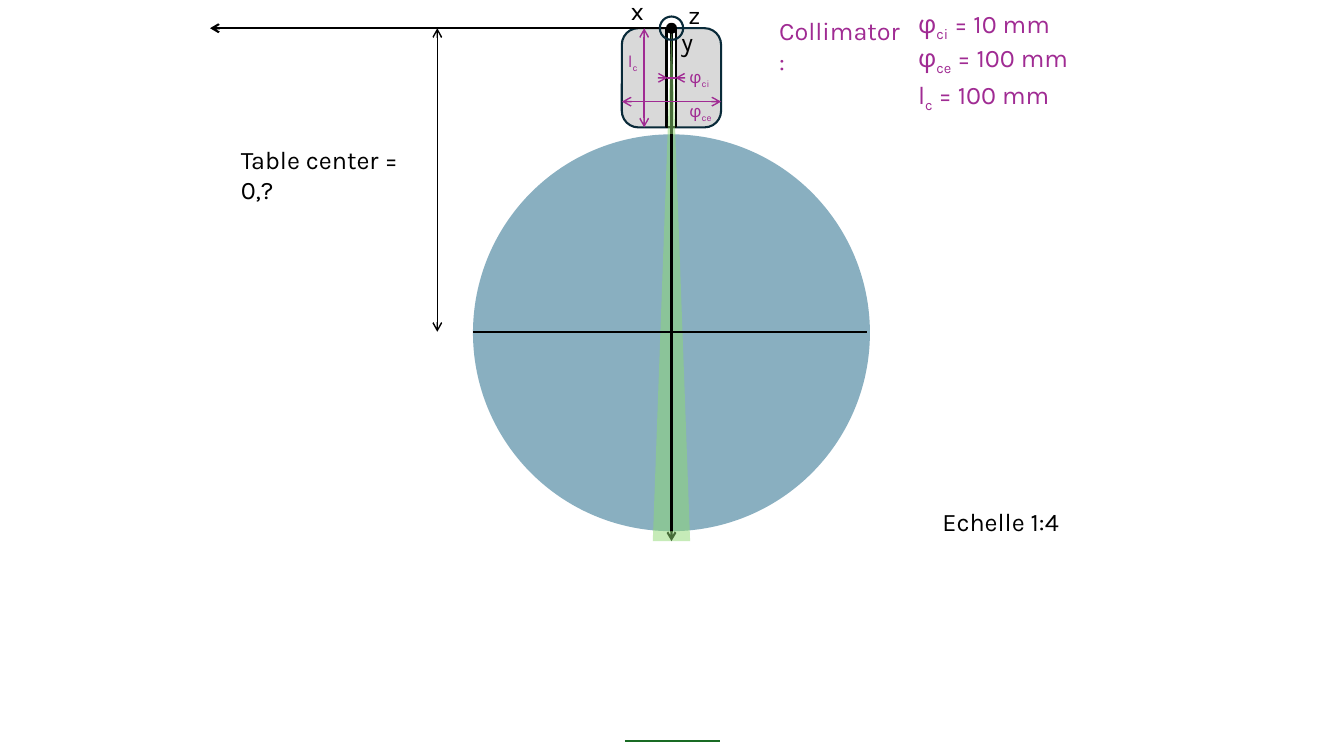
from lxml import etree
from pptx import Presentation
from pptx.dml.color import RGBColor
from pptx.enum.shapes import MSO_CONNECTOR, MSO_SHAPE
from pptx.enum.text import MSO_AUTO_SIZE, PP_ALIGN
from pptx.oxml.ns import qn
from pptx.util import Inches, Pt

STRAIGHT = MSO_CONNECTOR.STRAIGHT
OVAL = MSO_SHAPE.OVAL
RECTANGLE = MSO_SHAPE.RECTANGLE
ROUNDED = MSO_SHAPE.ROUNDED_RECTANGLE
TRIANGLE = MSO_SHAPE.ISOSCELES_TRIANGLE
FIT_SHAPE = MSO_AUTO_SIZE.SHAPE_TO_FIT_TEXT
LEFT = PP_ALIGN.LEFT
TOP, SIDE_LEFT, SIDE_RIGHT = 0, 1, 3

SCALE = 4
GRID = Inches(1) / 25.4 / SCALE
ORIGIN_X, ORIGIN_Y = Inches(6.66), Inches(0.28)

COLLIMATOR = 100
BORE = 10
TABLE = 400
TABLE_TOP = 107
TABLE_CENTER = 306
BEAM_LENGTH, BEAM_WIDTH = 517, 37.6

BLACK, WHITE, NAVY, PURPLE = "000000", "FFFFFF", "092A39", "A02B93"
GRAY, BLUE, LIGHT_GREEN, GREEN = "D9D9D9", "156082", "8ED973", "196B24"


def color(value):
    return RGBColor.from_string(value)


def column(x):
    return round(ORIGIN_X + x * GRID)


def row(y):
    return round(ORIGIN_Y + y * GRID)


def span(length):
    return round(length * GRID)


def add_centered(slide, kind, top, width, height, fill=None, outline=None, alpha=None):
    shape = slide.shapes.add_shape(
        kind, column(-width / 2), row(top), span(width), span(height))
    shape.shadow.inherit = False
    if fill:
        shape.fill.solid()
        shape.fill.fore_color.rgb = color(fill)
    else:
        shape.fill.background()
    if alpha:
        fill_color = shape.fill._xPr.find(qn("a:solidFill"))[0]
        etree.SubElement(fill_color, qn("a:alpha")).set("val", str(alpha * 1000))
    if outline:
        shape.line.color.rgb = color(outline)
        shape.line.width = Pt(1.5)
    else:
        shape.line.fill.background()
    return shape


def add_line(slide, start, end, line_color=BLACK, width=1.5, head=False, tail=False):
    connector = slide.shapes.add_connector(
        STRAIGHT, column(start[0]), row(start[1]), column(end[0]), row(end[1]))
    connector.line.color.rgb = color(line_color)
    connector.line.width = Pt(width)
    outline = connector.line._get_or_add_ln()
    for tag, wanted in (("a:headEnd", head), ("a:tailEnd", tail)):
        if wanted:
            etree.SubElement(outline, qn(tag)).set("type", "arrow")
    etree.SubElement(connector._element.spPr, qn("a:effectLst"))
    return connector


def add_dimension(slide, start, end, line_color):
    return add_line(slide, start, end, line_color, 1, head=True, tail=True)


def add_label(slide, left, top, width, parts, text_color=BLACK, size=18, wrap=False):
    box = slide.shapes.add_textbox(
        column(left), row(top), span(width), Inches(0.4 if size == 18 else 0.3))
    frame = box.text_frame
    frame.word_wrap = wrap
    frame.auto_size = FIT_SHAPE
    paragraph = frame.paragraphs[0]
    paragraph.alignment = LEFT
    for index, part in enumerate(parts):
        run = paragraph.add_run()
        run.text = part
        run.font.name = "Karla"
        run.font.size = Pt(size)
        run.font.color.rgb = color(text_color)
        if index == 1:
            run._r.get_or_add_rPr().set("baseline", "-25000")


def add_bodies(slide):
    add_centered(slide, ROUNDED, 0, COLLIMATOR, COLLIMATOR, GRAY, NAVY)
    bore = add_centered(slide, RECTANGLE, 0, BORE, COLLIMATOR, WHITE, BLACK)
    add_centered(slide, OVAL, TABLE_TOP, TABLE, TABLE, BLUE, alpha=50)
    add_line(slide, (-47, 718), (48.5, 718), GREEN)
    return bore


def add_axes(slide, bore):
    for end in ((-465, 0), (0, BEAM_LENGTH)):
        add_line(slide, (0, 0), end, tail=True).begin_connect(bore, TOP)
    add_centered(slide, TRIANGLE, 0, BEAM_WIDTH, BEAM_LENGTH, LIGHT_GREEN, alpha=50)
    for diameter, fill, outline in ((9, BLACK, BLACK), (23.5, None, NAVY)):
        add_centered(slide, OVAL, -diameter / 2, diameter, diameter, fill, outline)
    for name, left, top in (("x", -51, -38.5), ("y", 0, -7), ("z", 7, -34.5)):
        add_label(slide, left, top, 31.5, [name])


def add_collimator_dimensions(slide, bore):
    middle = COLLIMATOR / 2
    gap = add_line(slide, (-BORE / 2, middle), (BORE / 2, middle), PURPLE, 1)
    gap.begin_connect(bore, SIDE_LEFT)
    gap.end_connect(bore, SIDE_RIGHT)
    for side in (-1, 1):
        add_line(slide, (side * 7, middle), (side * 4, middle), PURPLE, 1, tail=True)
    add_dimension(slide, (-27.5, 0), (-27.5, COLLIMATOR), PURPLE)
    add_dimension(slide, (middle, 74), (-middle, 74), PURPLE)
    for symbol, index, value, left, top, width, value_top, value_width in (
            ("φ", "ci", " = 10 mm", 8, 33.5, 40.5, -25.5, 165),
            ("φ", "ce", " = 100 mm", 8, 68, 43.5, 9, 201),
            ("l", "c", " = 100 mm", -54, 17.5, 31.5, 46.5, 165)):
        add_label(slide, left, top, width, [symbol, index], PURPLE, 12)
        add_label(slide, 238.5, value_top, value_width,
                  [symbol, index, value], PURPLE, wrap=True)
    add_label(slide, 98.5, -17.5, 150.5, ["Collimator :"], PURPLE, wrap=True)


def add_table_dimensions(slide):
    add_label(slide, 263, 476.5, 142, ["Echelle 1:4"])
    add_line(slide, (0, TABLE_TOP), (0, TABLE_TOP + TABLE))
    add_line(slide, (-TABLE / 2, TABLE_CENTER), (197, TABLE_CENTER))
    add_dimension(slide, (-236, 0), (-236, TABLE_CENTER), BLACK)
    add_label(slide, -444, 112, 213, ["Table center = 0,?"], wrap=True)


def main():
    presentation = Presentation()
    presentation.slide_width = Inches(13.33)
    presentation.slide_height = Inches(7.5)
    slide = presentation.slides.add_slide(presentation.slide_layouts[6])
    bore = add_bodies(slide)
    add_axes(slide, bore)
    add_collimator_dimensions(slide, bore)
    add_table_dimensions(slide)
    presentation.save("out.pptx")


if __name__ == "__main__":
    main()
